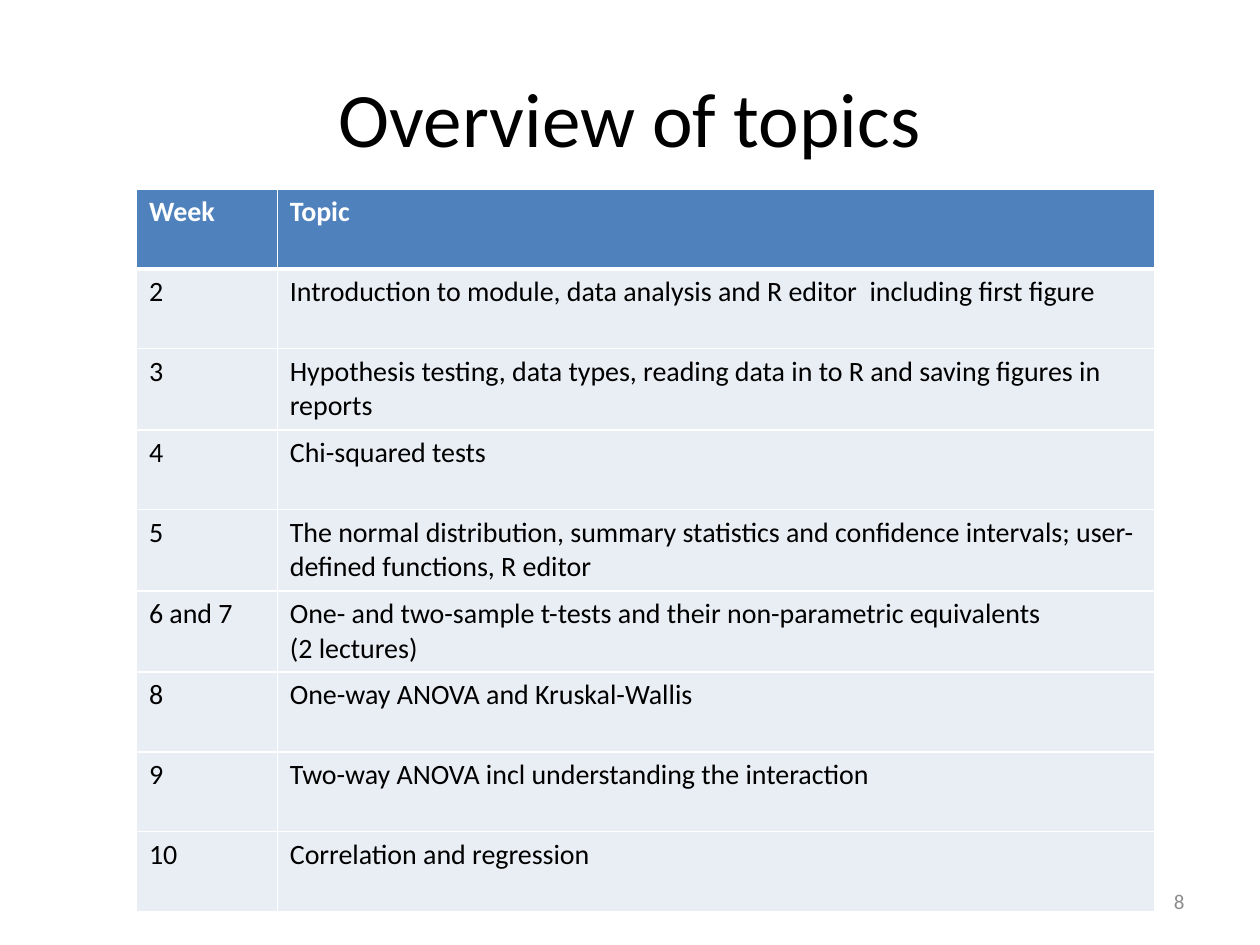
from dataclasses import dataclass

from lxml import etree
from pptx import Presentation
from pptx import util as u
from pptx.dml.color import RGBColor
from pptx.enum import text
from pptx.oxml import ns

FONT = "Calibri"
COLORS = {
    "ink": "000000",
    "white": "FFFFFF",
    "head": "4F81BD",
    "row": "E9EDF4",
    "page": "8C8C8C",
}


@dataclass(frozen=True)
class Box:
    left: float
    top: float
    width: float
    height: float

    def cm(self) -> list[u.Cm]:
        return [u.Cm(n) for n in (self.left, self.top, self.width, self.height)]


@dataclass(frozen=True)
class Style:
    size: int
    color: str = "ink"
    bold: bool = False
    align: text.PP_ALIGN = text.PP_ALIGN.LEFT


@dataclass(frozen=True)
class Topic:
    week: str
    lines: tuple[str, ...]


TOPICS = [
    Topic("Week", ("Topic",)),
    Topic("2", ("Introduction to module, data analysis and R editor  including first figure",)),
    Topic("3", ("Hypothesis testing, data types, reading data in to R and saving figures in reports",)),
    Topic("4", ("Chi-squared tests",)),
    Topic("5", ("The normal distribution, summary statistics and confidence intervals; "
                "user-defined functions, R editor",)),
    Topic("6 and 7", ("One- and two-sample t-tests and their non-parametric equivalents",
                      "(2 lectures)")),
    Topic("8", ("One-way ANOVA and Kruskal-Wallis",)),
    Topic("9", ("Two-way ANOVA incl understanding the interaction",)),
    Topic("10", ("Correlation and regression",)),
]
WIDTHS = (2.84, 17.68)
HEIGHT = 1.61


def tint(name: str) -> RGBColor:
    return RGBColor.from_string(COLORS[name])


def write(frame, lines: tuple[str, ...], style: Style) -> None:
    frame.word_wrap = True
    for i, line in enumerate(lines):
        para = frame.paragraphs[0] if i == 0 else frame.add_paragraph()
        para.alignment = style.align
        run = para.add_run()
        run.text = line
        run.font.name = FONT
        run.font.size = u.Pt(style.size)
        run.font.bold = style.bold
        run.font.color.rgb = tint(style.color)


def edge(cell, side: str, points: float) -> None:
    props = cell._tc.get_or_add_tcPr()
    line = etree.SubElement(props, ns.qn(f"a:ln{side}"), w=str(u.Pt(points)))
    fill = etree.SubElement(line, ns.qn("a:solidFill"))
    etree.SubElement(fill, ns.qn("a:srgbClr"), val=COLORS["white"])


def draw_cell(cell, lines: tuple[str, ...], row: int) -> None:
    head = row == 0
    # Borders come before the fill in the cell properties
    for side in "LRTB":
        heavy = (head and side == "B") or (row == 1 and side == "T")
        edge(cell, side, 3 if heavy else 1)
    cell.fill.solid()
    cell.fill.fore_color.rgb = tint("head" if head else "row")
    write(cell.text_frame, lines, Style(16, "white" if head else "ink", head))


def draw_table(slide, box: Box, topics: list[Topic]) -> None:
    table = slide.shapes.add_table(len(topics), len(WIDTHS), *box.cm()).table
    table.horz_banding = False
    for col, width in zip(table.columns, WIDTHS):
        col.width = u.Cm(width)
    for i, topic in enumerate(topics):
        table.rows[i].height = u.Cm(HEIGHT)
        draw_cell(table.cell(i, 0), (topic.week,), i)
        draw_cell(table.cell(i, 1), topic.lines, i)


def main() -> None:
    deck = Presentation()
    deck.slide_width, deck.slide_height = u.Cm(25.4), u.Cm(19.05)
    slide = deck.slides.add_slide(deck.slide_layouts[5])

    # Title
    title = slide.shapes.title
    title.left, title.top, title.width, title.height = Box(1.27, 0.76, 22.86, 3.18).cm()
    title.text_frame.vertical_anchor = text.MSO_ANCHOR.MIDDLE
    write(title.text_frame, ("Overview of topics",),
          Style(44, align=text.PP_ALIGN.CENTER))

    # Weekly topics
    draw_table(slide, Box(2.75, 3.81, sum(WIDTHS), HEIGHT * len(TOPICS)), TOPICS)

    # Page number
    page = slide.shapes.add_textbox(*Box(18.2, 17.66, 5.93, 1.01).cm())
    page.text_frame.vertical_anchor = text.MSO_ANCHOR.MIDDLE
    write(page.text_frame, ("8",), Style(12, "page", align=text.PP_ALIGN.RIGHT))

    deck.save("out.pptx")


if __name__ == "__main__":
    main()
